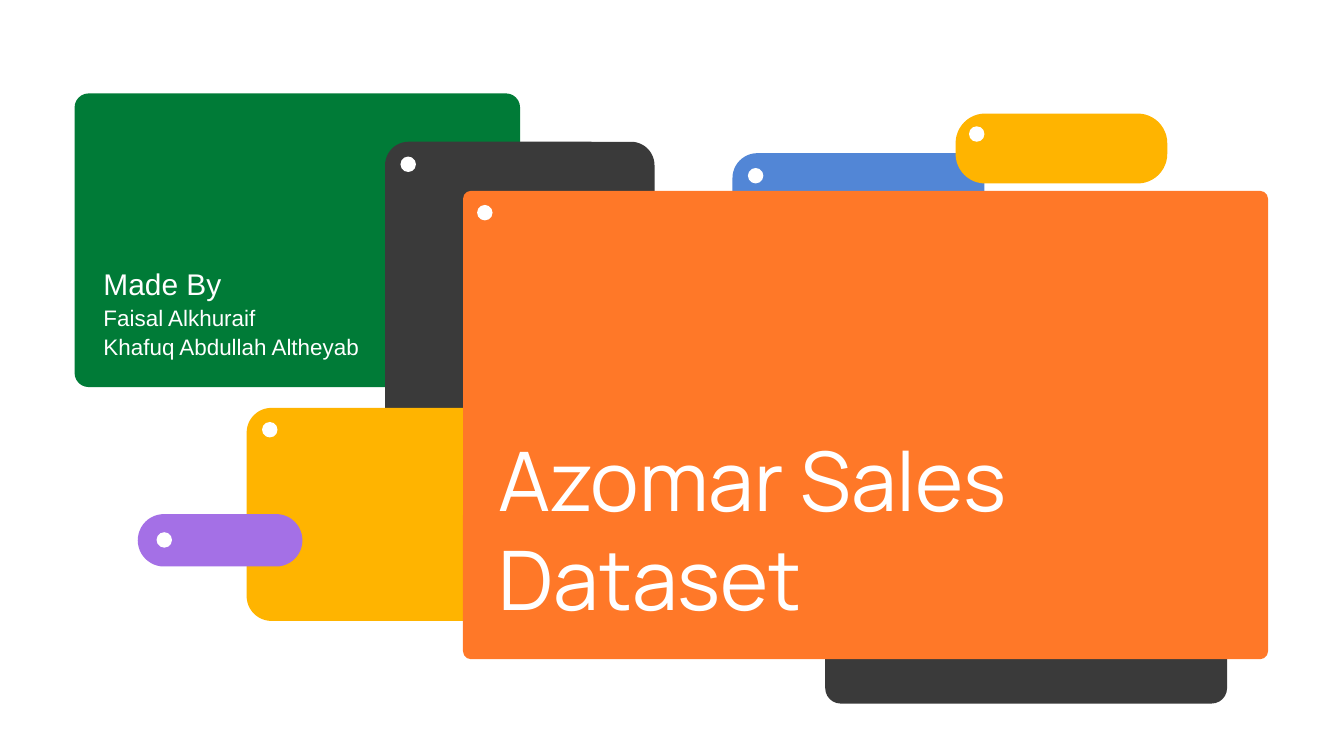
from pptx import Presentation
from pptx.dml.color import RGBColor
from pptx.enum.shapes import MSO_SHAPE
from pptx.enum.text import MSO_ANCHOR, MSO_AUTO_SIZE, PP_ALIGN
from pptx.util import Inches, Pt

ROUND, OVAL = MSO_SHAPE.ROUNDED_RECTANGLE, MSO_SHAPE.OVAL
TOP, LEFT, FIXED = MSO_ANCHOR.TOP, PP_ALIGN.LEFT, MSO_AUTO_SIZE.NONE

WHITE = RGBColor(0xFF, 0xFF, 0xFF)
GREEN = RGBColor(0x00, 0x7B, 0x37)
DARK = RGBColor(0x3A, 0x3A, 0x3A)
YELLOW = RGBColor(0xFF, 0xB4, 0x00)
BLUE = RGBColor(0x52, 0x86, 0xD6)
PURPLE = RGBColor(0xA4, 0x70, 0xE6)
ORANGE = RGBColor(0xFF, 0x78, 0x28)


class Cover:
    """Draws layered cards and places the cover text on one slide."""

    dot_size = 0.23

    def __init__(self, slide):
        self.slide = slide

    def shape(self, kind, box, color):
        item = self.slide.shapes.add_shape(kind, *map(Inches, box))
        item.shadow.inherit = False
        item.fill.solid()
        item.fill.fore_color.rgb = color
        item.line.fill.background()
        return item

    def card(self, box, radius, color, dot=None):
        left, top, width, height = box
        item = self.shape(ROUND, box, color)
        item.adjustments[0] = radius / min(width, height)
        if dot:
            size = self.dot_size
            self.shape(OVAL, (left + dot[0], top + dot[1], size, size), WHITE)

    def text(self, holder, box, lines, font, ratio):
        holder.left, holder.top, holder.width, holder.height = map(Inches, box)
        self.slide.shapes._spTree.append(holder._element)
        frame = holder.text_frame
        frame.text = "\n".join(line for line, size in lines)
        frame.word_wrap = True
        frame.auto_size = FIXED
        frame.vertical_anchor = TOP
        frame.margin_left = frame.margin_right = 0
        frame.margin_top = frame.margin_bottom = 0
        for para, (line, size) in zip(frame.paragraphs, lines):
            para.alignment = LEFT
            para.line_spacing = Pt(size * ratio)
            para.space_before = para.space_after = Pt(0)
            for run in para.runs:
                run.font.name = font
                run.font.size = Pt(size)
                run.font.color.rgb = WHITE


def main():
    deck = Presentation()
    deck.slide_width, deck.slide_height = Inches(20), Inches(11.25)
    slide = deck.slides.add_slide(deck.slide_layouts[0])
    title, names = slide.placeholders
    cover = Cover(slide)

    cover.card((1.11, 1.39, 6.63, 4.37), 0.21, GREEN)
    credits = [("Made By", 32), ("Faisal Alkhuraif", 24),
               ("Khafuq Abdullah Altheyab", 24)]
    cover.text(names, (1.54, 3.91, 5.19, 1.41), credits, "Arial", 1.3)

    cards = [
        ((12.28, 6.74, 5.98, 3.73), 0.23, DARK, None),
        ((5.73, 2.11, 4.01, 6.26), 0.35, DARK, (0.23, 0.22)),
        ((3.67, 6.07, 3.75, 3.17), 0.37, YELLOW, (0.23, 0.21)),
        ((10.9, 2.28, 3.75, 4.4), 0.37, BLUE, (0.23, 0.22)),
        ((2.05, 7.65, 2.45, 0.78), 0.39, PURPLE, (0.28, 0.27)),
        ((14.22, 1.69, 3.15, 1.04), 0.44, YELLOW, (0.2, 0.19)),
        ((6.89, 2.84, 11.98, 6.97), 0.12, ORANGE, (0.21, 0.21)),
    ]
    for box, radius, color, dot in cards:
        cover.card(box, radius, color, dot)
    cover.text(title, (7.42, 6.39, 11.1, 2.92),
               [("Azomar Sales Dataset", 88)], "Manrope", 1.2)
    deck.save("out.pptx")


if __name__ == "__main__":
    main()
